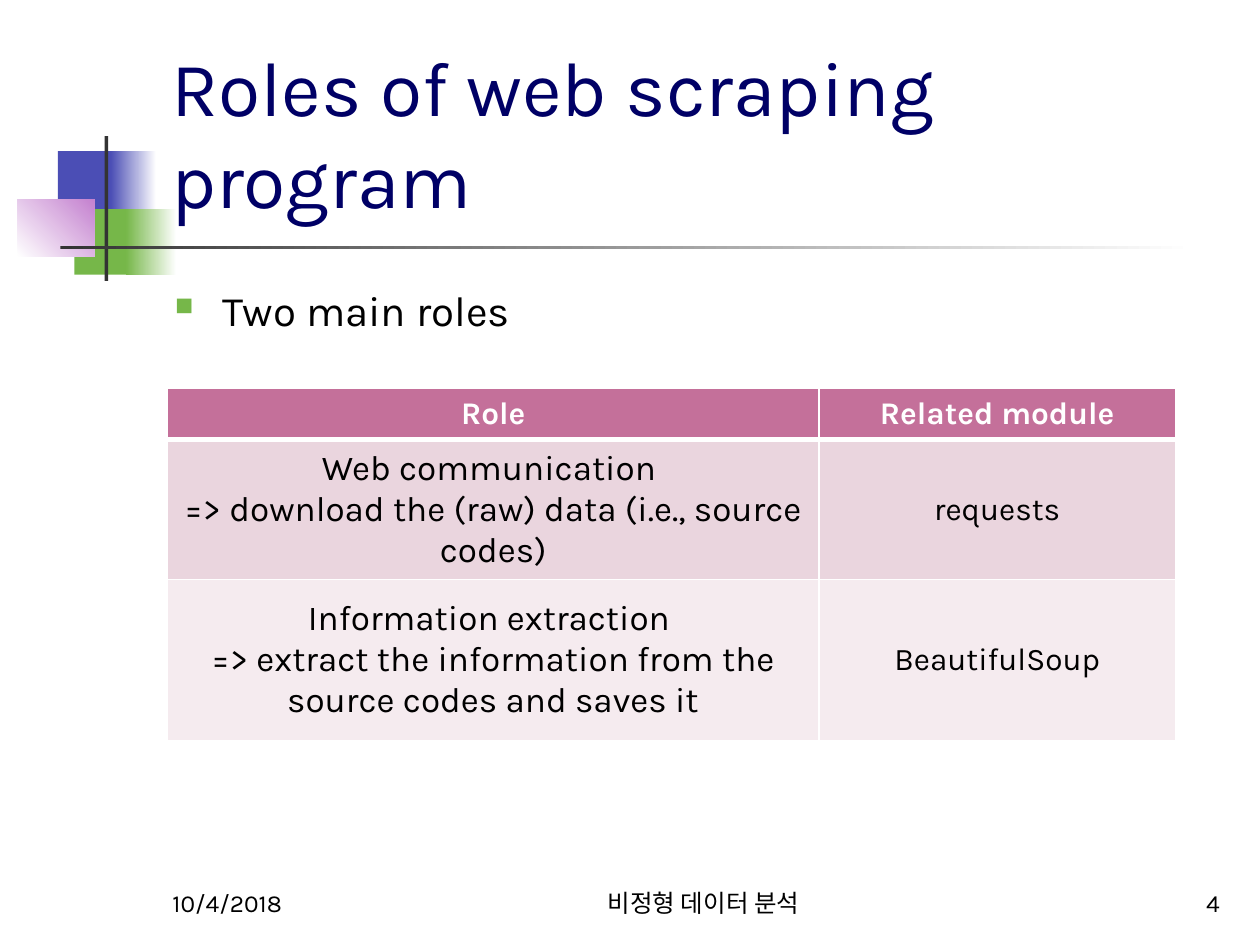
from lxml.etree import SubElement
from pptx import Presentation
from pptx.dml.color import RGBColor
from pptx.enum.shapes import MSO_SHAPE
from pptx.enum.text import MSO_ANCHOR, PP_ALIGN
from pptx.oxml import parse_xml
from pptx.oxml.ns import nsdecls, qn
from pptx.util import Inches, Pt

FONT = "Karla"
WHITE = RGBColor(0xFF, 0xFF, 0xFF)
BLACK = RGBColor(0, 0, 0)
NAVY = RGBColor(0, 0, 0x66)
BLUE = RGBColor(0x4B, 0x4E, 0xB5)
GREEN = RGBColor(0x76, 0xB7, 0x49)
VIOLET = RGBColor(0xC4, 0x81, 0xCF)
CHARCOAL = RGBColor(0x33, 0x33, 0x33)
ROSE = RGBColor(0xC4, 0x70, 0x9A)
ROSE_LIGHT = RGBColor(0xEA, 0xD5, 0xDE)
ROSE_PALE = RGBColor(0xF5, 0xEB, 0xEF)


def style_text(paragraph, align, **format_values):
    paragraph.alignment = align
    for run in paragraph.runs:
        run.font.name = FONT
        run.font.color.rgb = format_values["color"]
        for name in ("size", "bold"):
            if name in format_values:
                setattr(run.font, name, format_values[name])


def add_text(text, box, anchor, align, size, color):
    frame = slide.shapes.add_textbox(*map(Inches, box)).text_frame
    frame.word_wrap = True
    frame.vertical_anchor = anchor
    paragraph = frame.paragraphs[0]
    paragraph.text = text
    style_text(paragraph, align, size=Pt(size), color=color)
    return paragraph


prs = Presentation()
prs.slide_width, prs.slide_height = Inches(10), Inches(7.5)
slide = prs.slides.add_slide(prs.slide_layouts[6])

# Corner ornament and title rule: box, start colour, end colour, angle
ornament = [
    ((0.46, 1.2, 0.48, 0.52), BLUE, None, 0),
    ((0.88, 1.2, 0.36, 0.52), BLUE, WHITE, 0),
    ((0.59, 1.66, 0.46, 0.52), GREEN, None, 0),
    ((1, 1.66, 0.4, 0.52), GREEN, WHITE, 0),
    ((0.14, 1.58, 0.61, 0.46), WHITE, VIOLET, 45),
    ((0.83, 1.08, 0.03, 1.15), CHARCOAL, None, 0),
    ((0.48, 1.95, 9, 0.03), CHARCOAL, WHITE, 0),
]
for box, start, end, angle in ornament:
    block = slide.shapes.add_shape(MSO_SHAPE.RECTANGLE, *map(Inches, box))
    block.shadow.inherit = False
    block.line.fill.background()
    if end is None:
        block.fill.solid()
        block.fill.fore_color.rgb = start
    else:
        block.fill.gradient()
        block.fill.gradient_angle = angle
        for stop, color, position in zip(block.fill.gradient_stops, (start, end), (0, 1)):
            stop.color.rgb = color
            stop.position = position

# Title and bullet
add_text("Roles of web scraping program", (1.26, 0.23, 8.52, 1.6),
         MSO_ANCHOR.BOTTOM, PP_ALIGN.LEFT, 44, NAVY)
main_point = add_text("Two main roles", (1.29, 2.21, 8.5, 4.5),
                      MSO_ANCHOR.TOP, PP_ALIGN.LEFT, 24, BLACK)
bullet = main_point._p.get_or_add_pPr()
bullet.set("marL", str(Inches(0.38)))
bullet.set("indent", str(Inches(-0.38)))
space_before = SubElement(bullet, qn("a:spcBef"))
SubElement(space_before, qn("a:spcPct"), val="20000")
bullet_color = SubElement(bullet, qn("a:buClr"))
SubElement(bullet_color, qn("a:srgbClr"), val=str(GREEN))
SubElement(bullet, qn("a:buSzPct"), val="60000")
SubElement(bullet, qn("a:buChar"), char="■")

# Roles table
rows = [
    ("Role", "Related module"),
    ("Web communication \v=> download the (raw) data (i.e., source codes)", "requests"),
    ("Information extraction \v=> extract the information from the source codes and saves it",
     "BeautifulSoup"),
]
row_heights = (0.41, 1.11, 1.28)
row_fills = (ROSE, ROSE_LIGHT, ROSE_PALE)
roles = slide.shapes.add_table(3, 2, Inches(1.33), Inches(3.08), Inches(8), Inches(2.8)).table
for column, width in zip(roles.columns, (5.17, 2.83)):
    column.width = Inches(width)
for r, (texts, height, fill) in enumerate(zip(rows, row_heights, row_fills)):
    roles.rows[r].height = Inches(height)
    for c, text in enumerate(texts):
        cell = roles.cell(r, c)
        cell.vertical_anchor = MSO_ANCHOR.MIDDLE
        paragraph = cell.text_frame.paragraphs[0]
        paragraph.text = text
        style_text(paragraph, PP_ALIGN.CENTER, size=Pt(20 if r and c == 0 else 18),
                   bold=r == 0, color=BLACK if r else WHITE)
        # White grid, thicker below the header
        for side in "LRTB":
            thick = (r, side) in ((0, "B"), (1, "T"))
            cell._tc.get_or_add_tcPr().append(parse_xml(
                f'<a:ln{side} {nsdecls("a")} w="{Pt(3 if thick else 1)}"><a:solidFill>'
                f'<a:srgbClr val="{WHITE}"/></a:solidFill></a:ln{side}>'))
        cell.fill.solid()
        cell.fill.fore_color.rgb = fill

# Footer
footer = [
    ("10/4/2018", 1.27, 2.08, PP_ALIGN.LEFT),
    ("비정형 데이터 분석", 4, 3.17, PP_ALIGN.CENTER),
    ("4", 7.7, 2.08, PP_ALIGN.RIGHT),
]
for text, left, width, align in footer:
    add_text(text, (left, 6.83, width, 0.5), MSO_ANCHOR.BOTTOM, align, 14, BLACK)

prs.save("out.pptx")
